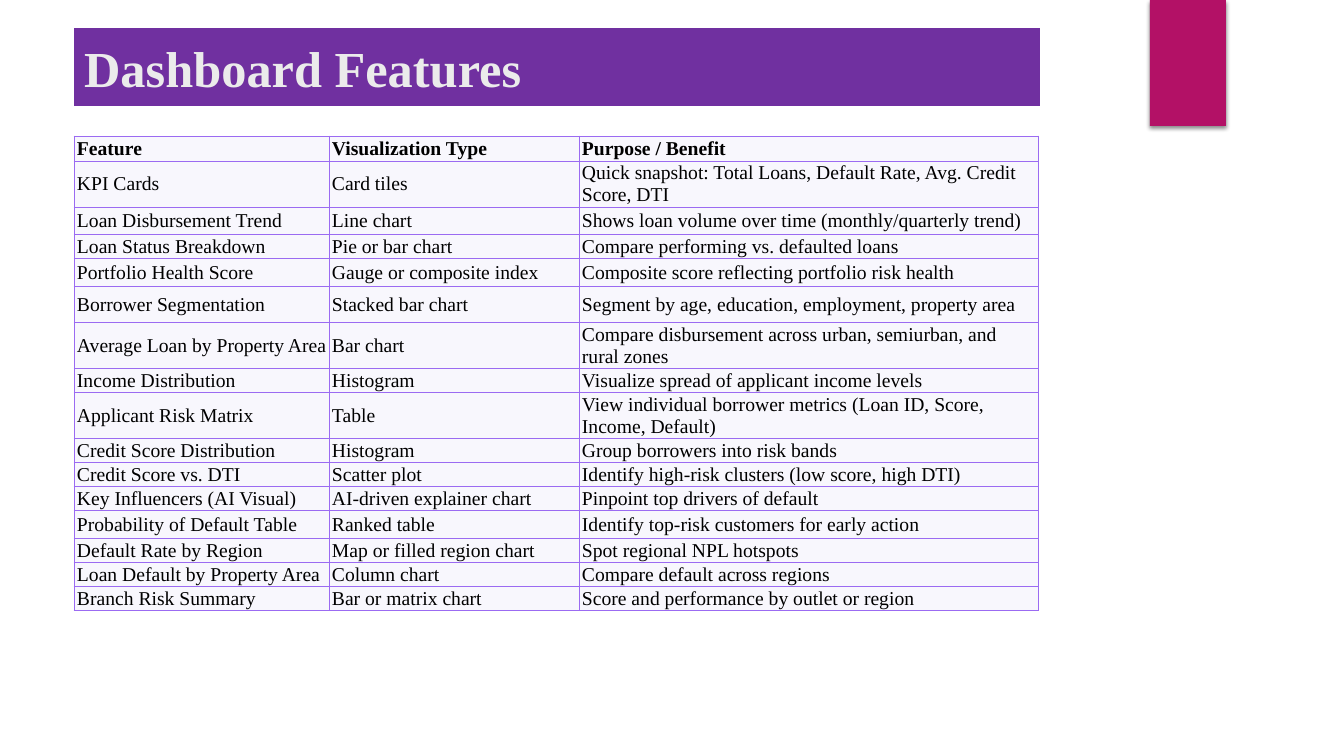
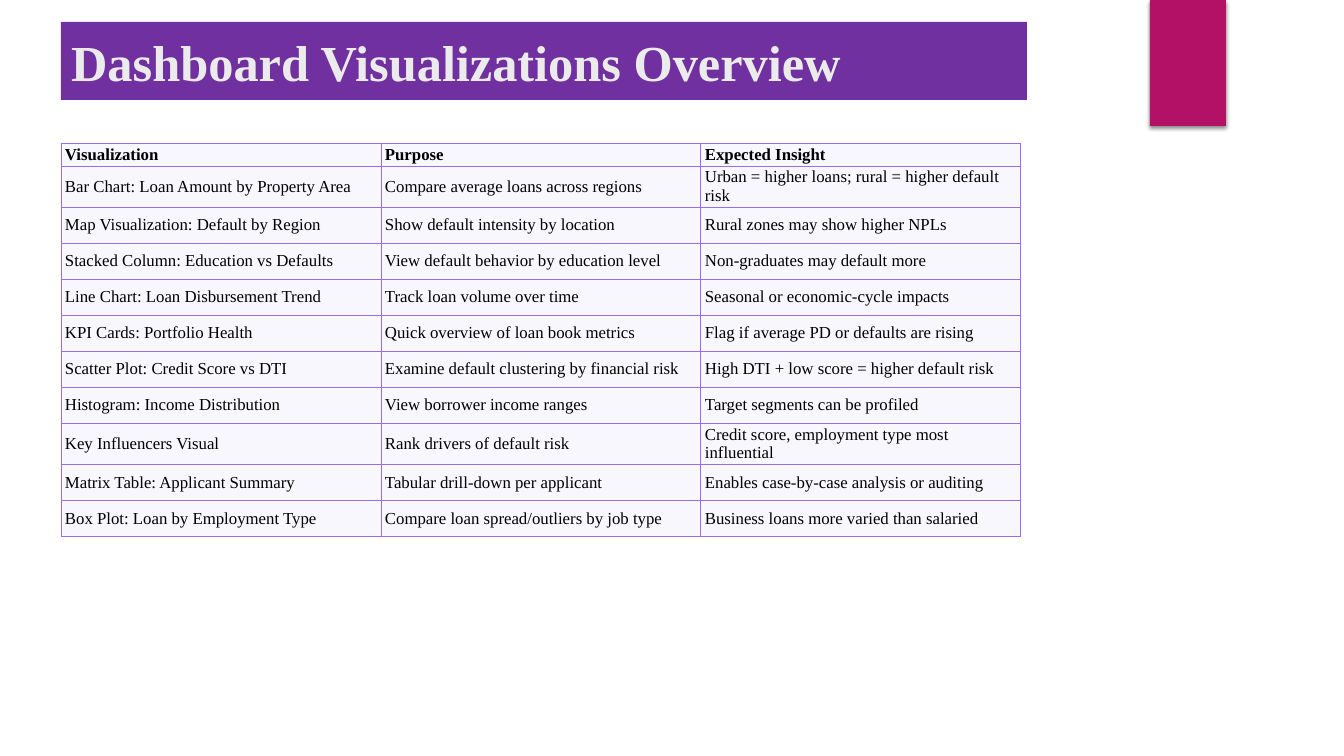
"""Build two slides listing the features and visualizations of a loan dashboard."""
from lxml import etree
from pptx import Presentation
from pptx.dml.color import RGBColor
from pptx.enum.shapes import MSO_SHAPE
from pptx.enum.text import MSO_ANCHOR, PP_ALIGN
from pptx.oxml import parse_xml
from pptx.oxml.ns import nsdecls, qn
from pptx.util import Emu, Pt

RECTANGLE = MSO_SHAPE.RECTANGLE
MIDDLE = MSO_ANCHOR.MIDDLE
LEFT = PP_ALIGN.LEFT

EMU_PER_PX = 914400 / 100.8
SLIDE_SIZE = (1344, 756)
TAB_BOX = (1150, 0, 76, 126)
BAND_SIZE = (966, 78)
RIGHT_PAD = 2

FONT = "Times New Roman"
MAGENTA = RGBColor(0xB3, 0x11, 0x66)
PURPLE = RGBColor(0x70, 0x30, 0xA0)
LILAC = RGBColor(0x9B, 0x6B, 0xF2)
PALE = RGBColor(0xF8, 0xF7, 0xFD)
OFF_WHITE = RGBColor(0xEB, 0xEB, 0xEB)
BLACK = RGBColor(0, 0, 0)

FEATURES = [
    ("Feature", "Visualization Type", "Purpose / Benefit"),
    ("KPI Cards", "Card tiles", "Quick snapshot: Total Loans, Default Rate, Avg. Credit Score, DTI"),
    ("Loan Disbursement Trend", "Line chart", "Shows loan volume over time (monthly/quarterly trend)"),
    ("Loan Status Breakdown", "Pie or bar chart", "Compare performing vs. defaulted loans"),
    ("Portfolio Health Score", "Gauge or composite index", "Composite score reflecting portfolio risk health"),
    ("Borrower Segmentation", "Stacked bar chart", "Segment by age, education, employment, property area"),
    ("Average Loan by Property Area", "Bar chart", "Compare disbursement across urban, semiurban, and rural zones"),
    ("Income Distribution", "Histogram", "Visualize spread of applicant income levels"),
    ("Applicant Risk Matrix", "Table", "View individual borrower metrics (Loan ID, Score, Income, Default)"),
    ("Credit Score Distribution", "Histogram", "Group borrowers into risk bands"),
    ("Credit Score vs. DTI", "Scatter plot", "Identify high-risk clusters (low score, high DTI)"),
    ("Key Influencers (AI Visual)", "AI-driven explainer chart", "Pinpoint top drivers of default"),
    ("Probability of Default Table", "Ranked table", "Identify top-risk customers for early action"),
    ("Default Rate by Region", "Map or filled region chart", "Spot regional NPL hotspots"),
    ("Loan Default by Property Area", "Column chart", "Compare default across regions"),
    ("Branch Risk Summary", "Bar or matrix chart", "Score and performance by outlet or region"),
]
VISUALIZATIONS = [
    ("Visualization", "Purpose", "Expected Insight"),
    ("Bar Chart: Loan Amount by Property Area", "Compare average loans across regions",
     "Urban = higher loans; rural = higher default risk"),
    ("Map Visualization: Default by Region", "Show default intensity by location", "Rural zones may show higher NPLs"),
    ("Stacked Column: Education vs Defaults", "View default behavior by education level", "Non-graduates may default more"),
    ("Line Chart: Loan Disbursement Trend", "Track loan volume over time", "Seasonal or economic-cycle impacts"),
    ("KPI Cards: Portfolio Health", "Quick overview of loan book metrics", "Flag if average PD or defaults are rising"),
    ("Scatter Plot: Credit Score vs DTI", "Examine default clustering by financial risk",
     "High DTI + low score = higher default risk"),
    ("Histogram: Income Distribution", "View borrower income ranges", "Target segments can be profiled"),
    ("Key Influencers Visual", "Rank drivers of default risk", "Credit score, employment type most influential"),
    ("Matrix Table: Applicant Summary", "Tabular drill-down per applicant", "Enables case-by-case analysis or auditing"),
    ("Box Plot: Loan by Employment Type", "Compare loan spread/outliers by job type",
     "Business loans more varied than salaried"),
]
SLIDES = [
    {"title": "Dashboard Features", "left": 74, "band_top": 28, "table_top": 136,
     "rows": FEATURES, "columns": (255, 250, 460), "size": 14, "pad": (3, 1),
     "heights": (25, 46, 28, 24, 28, 36, 46, 24, 46, 24, 24, 24, 28, 24, 24, 24)},
    {"title": "Dashboard Visualizations Overview", "left": 61, "band_top": 22, "table_top": 143,
     "rows": VISUALIZATIONS, "columns": (320, 320, 320), "size": 12, "pad": (4, 2),
     "heights": (23, 41, 36, 36, 36, 36, 36, 36, 41, 36, 36)},
]


def px(length):
    return Emu(round(length * EMU_PER_PX))


def style_text(paragraph, size, color, bold):
    paragraph.alignment = LEFT
    for run in paragraph.runs:
        run.font.name = FONT
        run.font.size = Pt(size)
        run.font.bold = bold
        run.font.color.rgb = color


def add_layout_tab(slide):
    tab = slide.shapes.add_shape(RECTANGLE, *map(px, TAB_BOX))
    tab.fill.solid()
    tab.fill.fore_color.rgb = MAGENTA
    tab.line.fill.background()
    tab.element.spPr.append(parse_xml(
        f'<a:effectLst {nsdecls("a")}><a:outerShdw blurRad="{Pt(3)}" dist="{Pt(2)}" dir="5400000" '
        'rotWithShape="0"><a:srgbClr val="000000"><a:alpha val="45000"/></a:srgbClr>'
        '</a:outerShdw></a:effectLst>'))
    slide.slide_layout.shapes.element.append(tab.element)


def add_title(slide, page):
    title = slide.shapes.title
    title.left, title.top = px(page["left"]), px(page["band_top"])
    title.width, title.height = map(px, BAND_SIZE)
    title.fill.solid()
    title.fill.fore_color.rgb = PURPLE
    title.text_frame.text = page["title"]
    title.text_frame.vertical_anchor = MIDDLE
    style_text(title.text_frame.paragraphs[0], 36, OFF_WHITE, True)


def add_borders(cell):
    properties = cell._tc.get_or_add_tcPr()
    for side in ("lnL", "lnR", "lnT", "lnB"):
        border = etree.SubElement(properties, qn(f"a:{side}"), w=str(Pt(0.75)))
        fill = etree.SubElement(border, qn("a:solidFill"))
        etree.SubElement(fill, qn("a:srgbClr"), val=str(LILAC))


def add_grid(slide, page):
    rows, columns, heights = page["rows"], page["columns"], page["heights"]
    grid = slide.shapes.add_table(
        len(rows), len(columns), px(page["left"]), px(page["table_top"]),
        px(sum(columns)), px(sum(heights))).table
    grid.horz_banding = False
    for column, width in zip(grid.columns, columns):
        column.width = px(width)
    side_pad, edge_pad = map(px, page["pad"])
    for index, (row, height, texts) in enumerate(zip(grid.rows, heights, rows)):
        row.height = px(height)
        for cell, text in zip(row.cells, texts):
            cell.text_frame.text = text
            cell.vertical_anchor = MIDDLE
            cell.margin_left, cell.margin_right = side_pad, px(RIGHT_PAD)
            cell.margin_top = cell.margin_bottom = edge_pad
            add_borders(cell)
            cell.fill.solid()
            cell.fill.fore_color.rgb = PALE
            style_text(cell.text_frame.paragraphs[0], page["size"], BLACK, index == 0)


def main():
    deck = Presentation()
    deck.slide_width, deck.slide_height = map(px, SLIDE_SIZE)
    title_only = deck.slide_layouts[5]
    for page in SLIDES:
        slide = deck.slides.add_slide(title_only)
        add_title(slide, page)
        add_grid(slide, page)
    add_layout_tab(deck.slides[0])
    deck.save("out.pptx")


if __name__ == "__main__":
    main()
